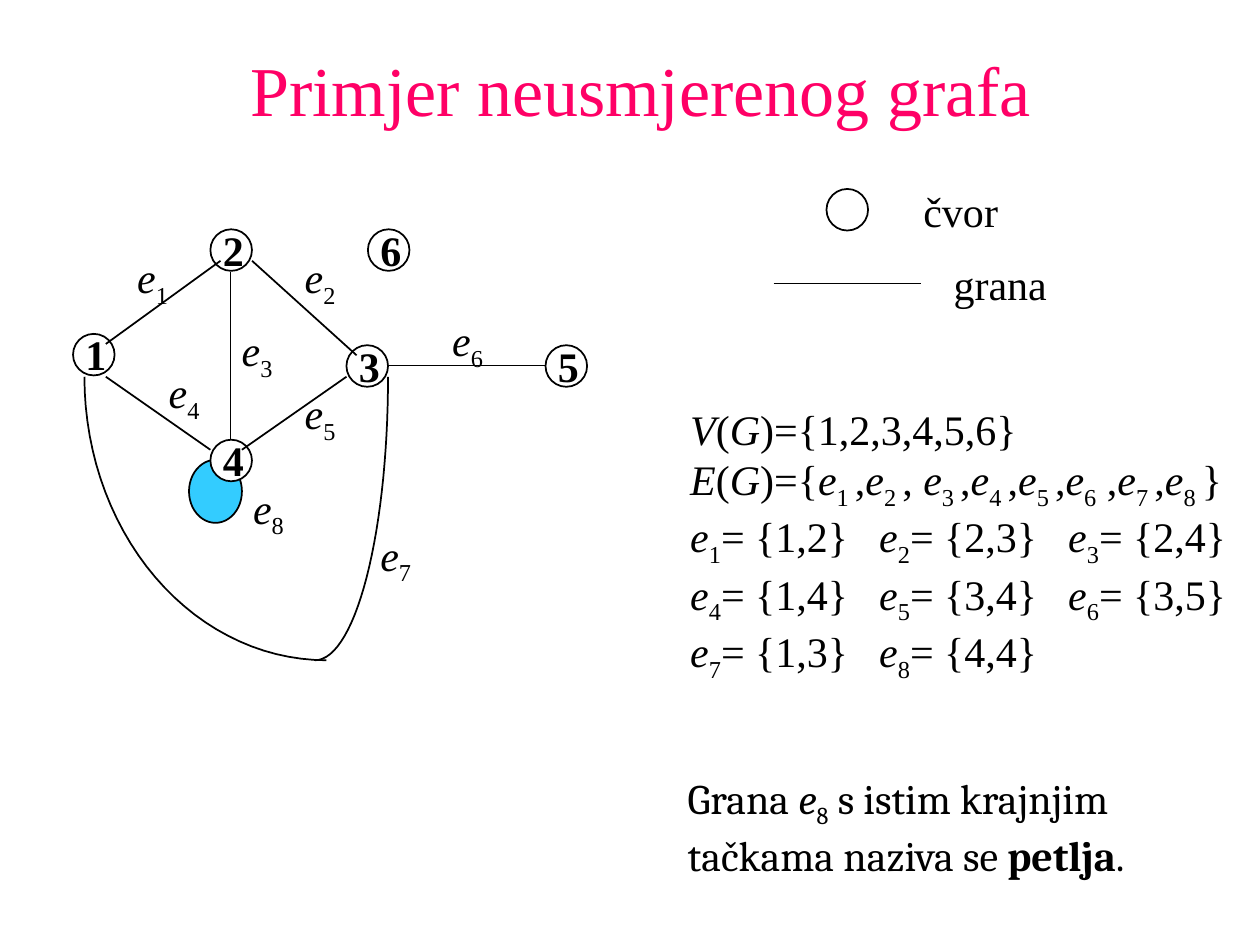
"""Build a slide that explains an undirected graph with six nodes and eight edges."""
from math import cos, radians, sin

from lxml.etree import SubElement
from pptx import Presentation
from pptx.dml.color import RGBColor
from pptx.enum.shapes import MSO_CONNECTOR, MSO_SHAPE
from pptx.enum.text import MSO_AUTO_SIZE, PP_ALIGN
from pptx.oxml.ns import qn
from pptx.util import Inches, Pt

COLORS = {"title": "FF0066", "ink": "000000", "node": "FFFFFF", "loop": "33CCFF"}
NODE_SIZE = 0.33

deck = Presentation()
deck.slide_width, deck.slide_height = Inches(10), Inches(7.5)
page = deck.slides.add_slide(deck.slide_layouts[6])


def add_text(text, at, size=24, font="Times New Roman", color="ink", bold=False,
             wrap=False, align=PP_ALIGN.LEFT, tabs=()):
    """Runs are split by |, and start with / for italic, _ for subscript, * for bold."""
    box = page.shapes.add_textbox(*map(Inches, at))
    frame = box.text_frame
    frame.word_wrap = wrap
    frame.auto_size = MSO_AUTO_SIZE.SHAPE_TO_FIT_TEXT
    for index, line in enumerate(text.split("\n")):
        para = frame.paragraphs[0] if index == 0 else frame.add_paragraph()
        para.alignment = align
        if tabs:
            stops = SubElement(para._p.get_or_add_pPr(), qn("a:tabLst"))
            for stop in tabs:
                SubElement(stops, qn("a:tab"), pos=str(Inches(stop)), algn="l")
        for part in line.split("|"):
            mark = part[0] if part[0] in "/_*" else ""
            span = para.add_run()
            span.text = part[len(mark):]
            span.font.name = font
            span.font.size = Pt(size)
            span.font.bold = bold or mark == "*"
            span.font.italic = mark == "/"
            span.font.color.rgb = RGBColor.from_string(COLORS[color])
            if mark == "_":
                span.font._element.set("baseline", "-25000")


def outline(shape, fill=None):
    shape.shadow.inherit = False
    shape.line.color.rgb = RGBColor.from_string(COLORS["ink"])
    shape.line.width = Pt(1)
    if fill:
        shape.fill.solid()
        shape.fill.fore_color.rgb = RGBColor.from_string(COLORS[fill])
    else:
        shape.fill.background()


add_text("Primjer neusmjerenog grafa", (0.42, 0.32, 9.33, 0.77), size=40,
         color="title", wrap=True, align=PP_ALIGN.CENTER)

nodes = {"1": (0.58, 2.65), "2": (1.67, 1.82), "3": (2.75, 2.74),
         "4": (1.67, 3.49), "5": (4.33, 2.74), "6": (2.92, 1.82)}
ovals = [(1.5, 3.65, 0.42, 0.5, "loop"), (6.56, 1.5, NODE_SIZE, NODE_SIZE, "node")]
ovals += [(left, top, NODE_SIZE, NODE_SIZE, "node") for left, top in nodes.values()]
for *place, fill in ovals:
    outline(page.shapes.add_shape(MSO_SHAPE.OVAL, *map(Inches, place)), fill)

lines = [
    (0.84, 2.73, 1.75, 2.07),
    (2, 2.07, 2.83, 2.82),
    (1.83, 2.16, 1.83, 3.49),
    (0.84, 2.99, 1.67, 3.57),
    (1.92, 3.57, 2.75, 2.99),
    (3.09, 2.9, 4.33, 2.9),
    (6.14, 2.25, 7.31, 2.25),
]
for ends in lines:
    edge = page.shapes.add_connector(MSO_CONNECTOR.STRAIGHT, *map(Inches, ends))
    edge.line.color.rgb = RGBColor.from_string(COLORS["ink"])
    edge.line.width = Pt(1)
    SubElement(edge._element.spPr, qn("a:effectLst"))

for center_x, radius_x, first_angle in [(2.59, 1.92, 90), (2.5, 0.58, 0)]:
    points = [(Inches(center_x + radius_x * cos(radians(angle))),
               Inches(2.99 + 2.25 * sin(radians(angle))))
              for angle in range(first_angle, first_angle + 91, 3)]
    builder = page.shapes.build_freeform(*points[0])
    builder.add_line_segments(points[1:], close=False)
    outline(builder.convert_to_shape())

for number, (left, top) in nodes.items():
    add_text(number, (left, top - 0.09, 0.37, 0.5), bold=True)

edge_labels = [(0.99, 1.95), (2.32, 1.95), (1.82, 2.53), (1.24, 2.86),
               (2.32, 3.03), (3.49, 2.45), (2.92, 4.15), (1.91, 3.78)]
for number, (left, top) in enumerate(edge_labels, 1):
    add_text(f"/e|_{number}", (left, top, 0.45, 0.56))

add_text("čvor", (7.23, 1.42, 0.79, 0.5))
add_text("grana", (7.47, 2, 0.94, 0.5))

pairs = ["1,2", "2,3", "2,4", "1,4", "3,4", "3,5", "1,3", "4,4"]
edge_set = "|,|".join(f"/e|_{number} " for number in range(1, 9))
edge_set = edge_set.replace("_2 |,|", "_2 |, |").replace("_6 |,|", "_6| ,|")
definitions = [f"/e|_{number}|= {{{pair}}}" for number, pair in enumerate(pairs, 1)]
rows = ["|\t|".join(definitions[start:start + 3]) for start in range(0, 8, 3)]
add_text("\n".join(["/V|(|/G|)={1,2,3,4,5,6}", "/E|(|/G|)={|" + edge_set + "|}"] + rows),
         (5.38, 3.15, 4.6, 2.32), wrap=True, tabs=(1.5, 3))

add_text("Grana |/e|_8| s istim krajnjim tačkama naziva se |*petlja|.",
         (5.36, 6.08, 3.73, 0.96), font="Cambria", wrap=True)

deck.save("out.pptx")
